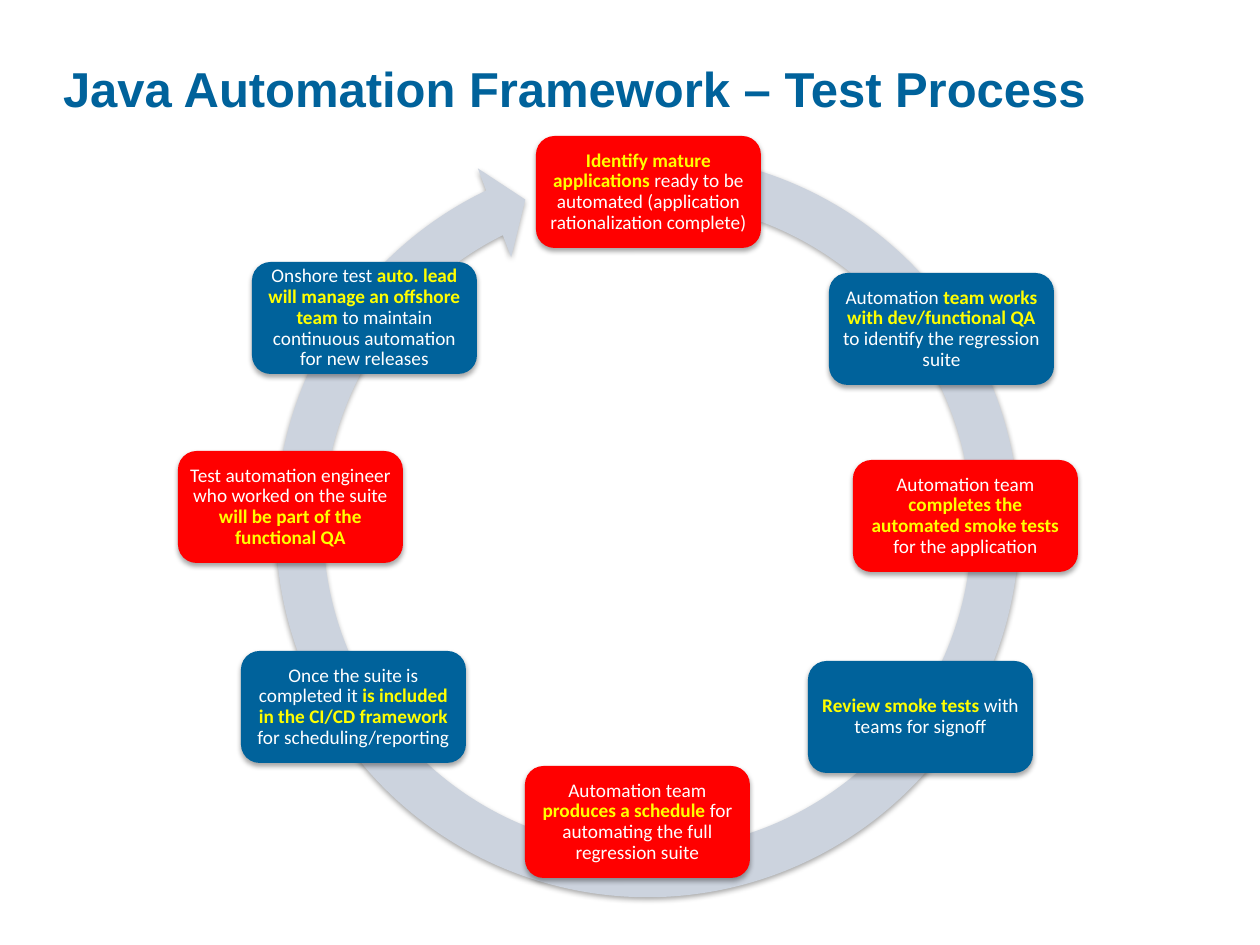
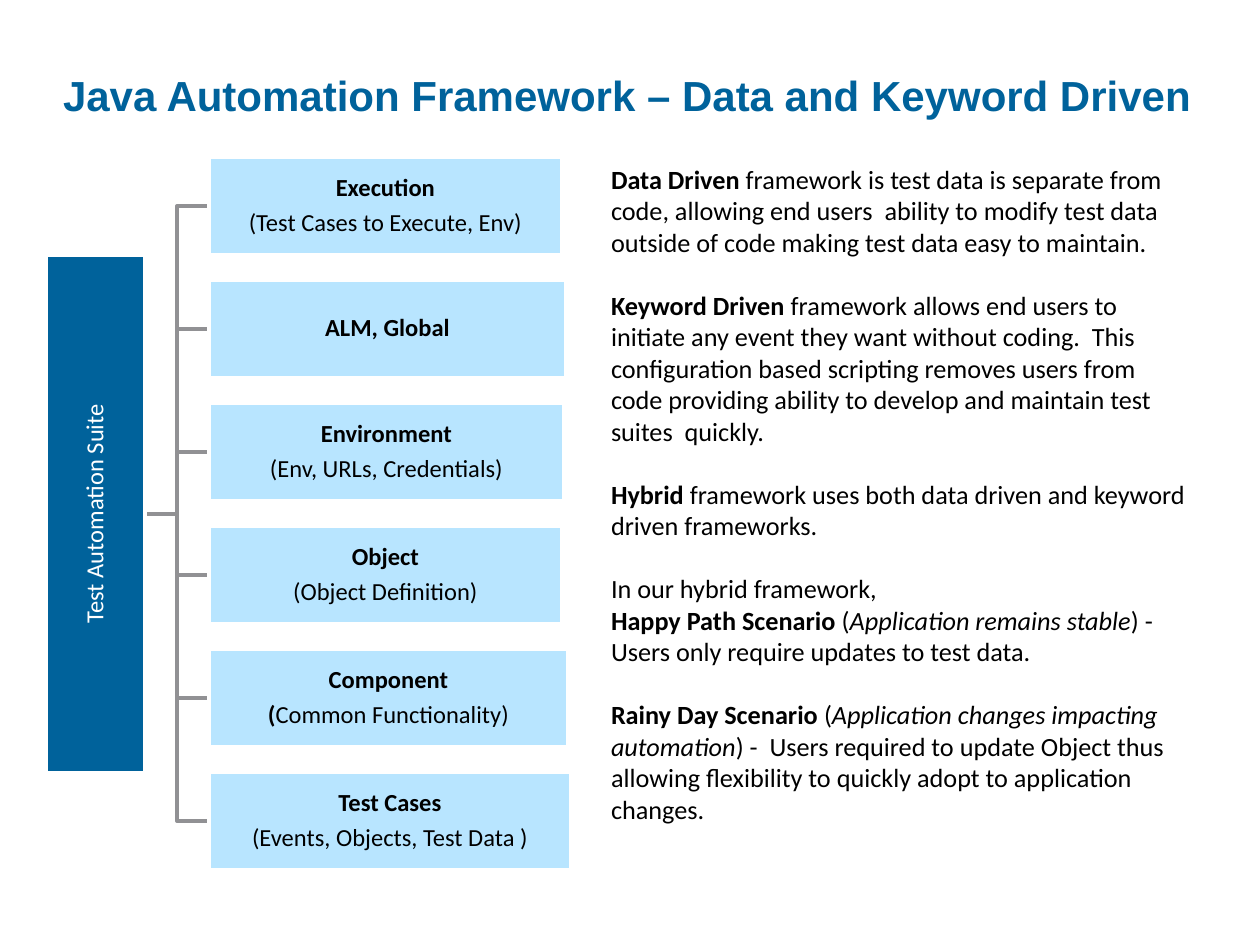
from lxml import etree
from pptx import Presentation
from pptx.dml.color import RGBColor
from pptx.enum.shapes import MSO_CONNECTOR, MSO_SHAPE
from pptx.enum.text import MSO_ANCHOR, MSO_AUTO_SIZE, PP_ALIGN
from pptx.oxml.ns import qn
from pptx.util import Emu, Pt

RECT, ROUNDED = MSO_SHAPE.RECTANGLE, MSO_SHAPE.ROUNDED_RECTANGLE
CIRCULAR_ARROW = MSO_SHAPE.CIRCULAR_ARROW
ELBOW = MSO_CONNECTOR.ELBOW
LEFT, CENTER = PP_ALIGN.LEFT, PP_ALIGN.CENTER
TOP, MIDDLE = MSO_ANCHOR.TOP, MSO_ANCHOR.MIDDLE
NO_AUTOFIT = MSO_AUTO_SIZE.NONE

PX = 914400 / 126
TITLE_ONLY, TITLE_AND_CONTENT = 5, 1
COLORS = {
    "blue": "00629B", "red": "FF0000", "yellow": "FFFF00", "ring": "CCD3DE",
    "sky": "B8E5FF", "gray": "919194", "white": "FFFFFF", "black": "000000",
}


def px(n):
    return Emu(round(n * PX))


def color(name):
    return RGBColor.from_string(COLORS[name])


class Deck:
    """Style of the deck and the slide being filled."""

    def __init__(self):
        self.prs = Presentation()
        self.prs.slide_width, self.prs.slide_height = px(1260), px(945)
        self.slide = None

    def place(self, sp, x, y, w, h):
        sp.left, sp.top, sp.width, sp.height = px(x), px(y), px(w), px(h)

    def frame(self, sp, anchor, inset_x=0, inset_y=0):
        tf = sp.text_frame
        tf.word_wrap, tf.auto_size = True, NO_AUTOFIT
        tf.vertical_anchor = anchor
        tf.margin_left = tf.margin_right = px(inset_x)
        tf.margin_top = tf.margin_bottom = px(inset_y)
        return tf

    def fill_paragraph(self, p, text, size, ink, align=CENTER, spacing=0.9, strong=None):
        """Turn *bold* and _italic_ stretches into runs; strong colours the bold."""
        p.alignment, p.line_spacing = align, spacing
        p.space_before = p.space_after = Pt(0)
        p.font.name, p.font.size = "Calibri", Pt(size)
        p.font.color.rgb = color(ink)
        for i, part in enumerate(text.split("*")):
            for j, piece in enumerate(part.split("_")):
                if not piece:
                    continue
                r = p.add_run()
                r.text = piece
                r.font.bold, r.font.italic = i % 2 == 1, j % 2 == 1
                if strong and r.font.bold:
                    r.font.color.rgb = color(strong)

    def new_slide(self, layout, title, size, y):
        self.slide = self.prs.slides.add_slide(self.prs.slide_layouts[layout])
        sp = self.slide.shapes.title
        self.place(sp, 63, y, 1134, 53)
        tf = self.frame(sp, TOP)
        tf.margin_top = px(6)
        p = tf.paragraphs[0]
        p.text, p.alignment = title, LEFT
        p.font.name, p.font.size, p.font.bold = "Arial", Pt(size), True
        p.font.color.rgb = color("blue")

    def shape(self, kind, x, y, w, h, fill, line=None, shadow=False):
        sp = self.slide.shapes.add_shape(kind, px(x), px(y), px(w), px(h))
        sp.fill.solid()
        sp.fill.fore_color.rgb = color(fill)
        if line:
            sp.line.color.rgb, sp.line.width = color(line), Pt(2)
        else:
            sp.line.fill.background()
        sp.shadow.inherit = False
        if shadow:
            effects = sp.element.spPr.find(qn("a:effectLst"))
            outer = etree.SubElement(effects, qn("a:outerShdw"), blurRad="39400",
                                     dist="22900", dir="5400000", rotWithShape="0")
            black = etree.SubElement(outer, qn("a:srgbClr"), val=COLORS["black"])
            etree.SubElement(black, qn("a:alpha"), val="35000")
        return sp

    def label(self, sp, lines, size, ink, inset=1, strong=None):
        tf = self.frame(sp, MIDDLE, inset, inset)
        for i, text in enumerate(lines):
            p = tf.add_paragraph() if i else tf.paragraphs[0]
            self.fill_paragraph(p, text, size, ink, strong=strong)
            if i < len(lines) - 1:
                p.space_after = Pt(5)

    def body(self, x, y, w, h, paragraphs, size):
        sp = self.slide.placeholders[1]
        self.place(sp, x, y, w, h)
        tf = self.frame(sp, TOP, 13, 6)
        for i, (text, gap) in enumerate(paragraphs):
            p = tf.add_paragraph() if i else tf.paragraphs[0]
            self.fill_paragraph(p, text, size, "black", align=LEFT, spacing=1.0)
            p.space_after = Pt(gap)
            props = p._p.get_or_add_pPr()
            props.set("marL", "0")
            props.set("indent", "0")
            bullet = etree.Element(qn("a:buNone"))
            props.find(qn("a:spcAft")).addnext(bullet)

    def branch(self, start, end):
        """Elbow from the right side of start to the left side of end, at the back."""
        cx = self.slide.shapes.add_connector(ELBOW, 0, 0, 0, 0)
        cx.begin_connect(start, 3)
        cx.end_connect(end, 1)
        cx.line.color.rgb, cx.line.width = color("gray"), Pt(2)
        etree.SubElement(cx.element.spPr, qn("a:effectLst"))
        cx.element.getparent().insert(2, cx.element)


# Steps of the cycle, clockwise from the top: left, top, text
STEPS = [
    (536, 136, "*Identify mature applications *ready to be automated "
               "(application rationalization complete)"),
    (829, 273, "Automation *team works with dev/functional QA *"
               "to identify the regression suite"),
    (853, 460, "Automation team *completes the automated smoke tests *"
               "for the application"),
    (808, 661, "*Review smoke tests *with teams for signoff"),
    (525, 766, "Automation team *produces a schedule *"
               "for automating the full regression suite"),
    (241, 651, "Once the suite is completed it *is included in the CI/CD "
               "framework *for scheduling/reporting"),
    (178, 451, "Test automation engineer who worked on the suite "
               "*will be part of the functional QA*"),
    (252, 262, "Onshore test *auto. lead will manage an offshore team* "
               "to maintain continuous automation for new releases"),
]

# Parts of the suite: width, lines
PARTS = [
    (353, ["*Execution*", "(Test Cases to Execute, Env)"]),
    (357, ["*ALM, Global*"]),
    (355, ["*Environment*", "(Env, URLs, Credentials)"]),
    (353, ["*Object*", "(Object Definition)"]),
    (359, ["*Component*", "*(*Common Functionality)"]),
    (362, ["*Test Cases*", "(Events, Objects, Test Data )"]),
]

# Explanations: text, gap after in points
EXPLANATIONS = [
    ("*Data Driven *framework is test data is separate from code, allowing end "
     "users  ability to modify test data outside of code making test data easy "
     "to maintain.", 18),
    ("*Keyword Driven *framework allows end users to initiate any event they want "
     "without coding.  This configuration based scripting removes users from code "
     "providing ability to develop and maintain test suites  quickly.", 18),
    ("*Hybrid* framework uses both data driven and keyword driven frameworks.", 18),
    ("In our hybrid framework,", 0),
    ("*Happy Path Scenario *(_Application remains stable_) - "
     "Users only require updates to test data.", 18),
    ("*Rainy Day Scenario *(_Application changes impacting automation_) -  Users "
     "required to update Object thus allowing flexibility to quickly adopt to "
     "application changes.", 0),
]


def test_process(deck):
    deck.new_slide(TITLE_ONLY, "Java Automation Framework – Test Process", 28, 53)

    # Circular arrow
    ring = deck.shape(CIRCULAR_ARROW, 252, 130, 791, 791, "ring", shadow=True)
    for i, value in enumerate([0.06, 3.31, 146.36, 168.82, 0.06]):
        ring.adjustments[i] = value

    # Steps in alternating colours
    for i, (x, y, text) in enumerate(STEPS):
        fill = "blue" if i % 2 else "red"
        step = deck.shape(ROUNDED, x, y, 225, 112, fill, shadow=True)
        deck.label(step, [text], 11, "white", inset=6, strong="yellow")


def data_and_keyword(deck):
    deck.new_slide(TITLE_AND_CONTENT,
                   "Java Automation Framework – Data and Keyword Driven", 24, 63)
    deck.body(598, 157, 605, 680, EXPLANATIONS, 15)

    # Suite bar with upward text
    suite = deck.shape(RECT, 46, 255, 99, 518, "blue", line="white")
    deck.label(suite, ["Test Automation Suite"], 14, "white")
    suite.element.txBody.bodyPr.set("vert", "vert270")

    # Parts and their branches
    for i, (w, lines) in enumerate(PARTS):
        part = deck.shape(RECT, 209, 157 + 123 * i, w, 98, "sky", line="white")
        deck.label(part, lines, 14, "black")
        deck.branch(suite, part)


def main():
    deck = Deck()
    test_process(deck)
    data_and_keyword(deck)
    deck.prs.save("out.pptx")


if __name__ == "__main__":
    main()
